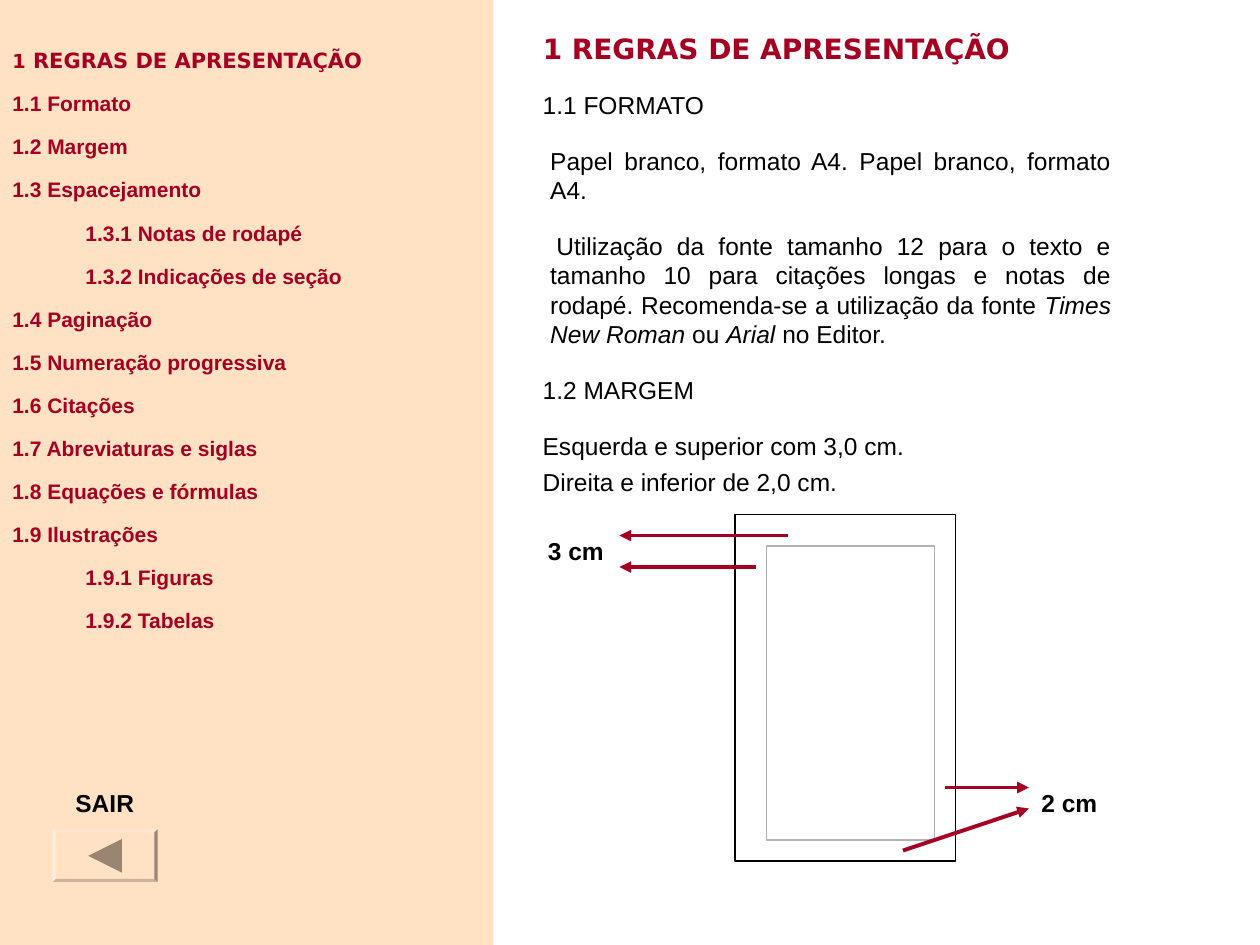
from dataclasses import dataclass

from lxml.etree import SubElement
from pptx import Presentation
from pptx.dml.color import RGBColor
from pptx.enum.shapes import MSO_CONNECTOR, MSO_SHAPE
from pptx.enum.text import MSO_ANCHOR, PP_ALIGN
from pptx.oxml.ns import qn
from pptx.util import Inches, Pt


@dataclass(frozen=True)
class Theme:
    crimson: str = "A50021"
    peach: str = "FFE1C3"
    shade: str = "988673"
    black: str = "000000"
    white: str = "FFFFFF"
    gray: str = "B2B2B2"
    heading_font: str = "DejaVu Sans"
    text_font: str = "Arial"
    title_size: float = 16
    body_size: float = 14
    menu_size: float = 12
    number_size: float = 11
    body_line: float = 16.7
    menu_line: float = 21.6
    section_gap: float = 15.3
    line_gap: float = 3.8
    menu_gap: float = 3


THEME = Theme()
TITLE = "1 REGRAS DE APRESENTAÇÃO"
MENU = [
    (0, "1.1 Formato"),
    (0, "1.2 Margem"),
    (0, "1.3 Espacejamento"),
    (1, "1.3.1 Notas de rodapé"),
    (1, "1.3.2 Indicações de seção"),
    (0, "1.4 Paginação"),
    (0, "1.5 Numeração progressiva"),
    (0, "1.6 Citações"),
    (0, "1.7 Abreviaturas e siglas"),
    (0, "1.8 Equações e fórmulas"),
    (0, "1.9 Ilustrações"),
    (1, "1.9.1 Figuras"),
    (1, "1.9.2 Tabelas"),
]
# Each paragraph: space before, left margin, first-line indent, runs (odd ones italic)
BODY = [
    (0, 0, 0, ["1.1 FORMATO"]),
    (THEME.section_gap, 0.06, 0,
     ["Papel branco, formato A4. Papel branco, formato A4."]),
    (THEME.section_gap, 0.06, 0.05,
     ["Utilização da fonte tamanho 12 para o texto e tamanho 10 para citações "
      "longas e notas de rodapé. Recomenda-se a utilização da fonte ",
      "Times New Roman", " ou ", "Arial", " no Editor."]),
    (THEME.section_gap, 0, 0, ["1.2 MARGEM"]),
    (THEME.section_gap, 0, 0, ["Esquerda e superior com 3,0 cm."]),
    (THEME.line_gap, 0, 0, ["Direita e inferior de 2,0 cm."]),
]


def grid(*cells):
    """Convert grid cells, twelve to the inch, to lengths."""
    return [Inches(cell / 12) for cell in cells]


def color(value):
    return RGBColor.from_string(value)


def style_run(run, size, name=THEME.text_font, value=THEME.black, bold=False, italic=False):
    font = run.font
    font.size, font.name = Pt(size), name
    font.bold, font.italic = bold, italic
    font.color.rgb = color(value)


def indent(paragraph, margin, first_line=0):
    properties = paragraph._p.get_or_add_pPr()
    properties.set("marL", str(Inches(margin)))
    properties.set("indent", str(Inches(first_line)))


def space(paragraph, before, line):
    paragraph.space_before, paragraph.line_spacing = Pt(before), Pt(line)


def next_paragraph(text_frame, index):
    return text_frame.add_paragraph() if index else text_frame.paragraphs[0]


def add_box(slide, kind, cells, fill, line=None):
    shape = slide.shapes.add_shape(kind, *grid(*cells))
    shape.shadow.inherit = False
    shape.fill.solid()
    shape.fill.fore_color.rgb = color(fill)
    if line:
        shape.line.color.rgb = color(line)
        shape.line.width = Pt(0.75)
    else:
        shape.line.fill.background()
    return shape


def add_arrow(slide, start, end):
    arrow = slide.shapes.add_connector(MSO_CONNECTOR.STRAIGHT, *grid(*start, *end))
    arrow.line.color.rgb = color(THEME.crimson)
    arrow.line.width = Pt(2.25)
    SubElement(arrow.line._get_or_add_ln(), qn("a:tailEnd"), type="triangle")
    SubElement(arrow._element.spPr, qn("a:effectLst"))


def add_label(slide, text, left, top, width):
    text_frame = slide.shapes.add_textbox(*grid(left, top, width, 5)).text_frame
    text_frame.word_wrap = True
    text_frame.vertical_anchor = MSO_ANCHOR.MIDDLE
    text_frame.text = text
    style_run(text_frame.paragraphs[0].runs[0], THEME.body_size, bold=True)


def set_title(slide):
    title = slide.shapes.title
    title.left, title.top, title.width, title.height = grid(50.5, 1.6, 56.5, 6)
    text_frame = title.text_frame
    text_frame.text = TITLE
    text_frame.vertical_anchor = MSO_ANCHOR.MIDDLE
    text_frame.paragraphs[0].alignment = PP_ALIGN.LEFT
    style_run(text_frame.paragraphs[0].runs[0], THEME.title_size,
              THEME.heading_font, THEME.crimson, bold=True)


def add_body(slide):
    text_frame = slide.shapes.add_textbox(*grid(50.5, 8, 56.5, 40)).text_frame
    text_frame.word_wrap = True
    for index, (before, margin, first_line, texts) in enumerate(BODY):
        paragraph = next_paragraph(text_frame, index)
        paragraph.alignment = PP_ALIGN.JUSTIFY
        indent(paragraph, margin, first_line)
        space(paragraph, before, THEME.body_line)
        for position, text in enumerate(texts):
            run = paragraph.add_run()
            run.text = text
            style_run(run, THEME.body_size, italic=position % 2 == 1)


def add_menu(slide):
    panel = add_box(slide, MSO_SHAPE.RECTANGLE, (0, 0, 47, 90), THEME.peach)
    text_frame = panel.text_frame
    text_frame.word_wrap = True
    text_frame.vertical_anchor = MSO_ANCHOR.TOP
    text_frame.margin_top = Inches(0.28)
    number, heading = TITLE.split(" ", 1)
    heading_runs = [(number, THEME.number_size, THEME.heading_font),
                    (" " + heading, THEME.menu_size, THEME.heading_font)]
    entries = [(0, heading_runs)]
    entries += [(level, [(text, THEME.menu_size, THEME.text_font)]) for level, text in MENU]
    for index, (level, runs) in enumerate(entries):
        paragraph = next_paragraph(text_frame, index)
        paragraph.alignment = PP_ALIGN.LEFT
        indent(paragraph, 0.58 * level)
        space(paragraph, THEME.menu_gap if index else 0, THEME.menu_line)
        for text, size, name in runs:
            run = paragraph.add_run()
            run.text = text
            style_run(run, size, name, THEME.crimson, bold=True)


def add_exit_button(slide):
    button = add_box(slide, MSO_SHAPE.BEVEL, (5, 79, 10, 5), THEME.peach)
    button.adjustments[0] = 0.06
    triangle = add_box(slide, MSO_SHAPE.ISOSCELES_TRIANGLE, (8.4, 79.9, 3.2, 3.2), THEME.shade)
    triangle.rotation = 270
    add_label(slide, "SAIR", 6, 74, 10)


def add_margin_diagram(slide):
    add_box(slide, MSO_SHAPE.RECTANGLE, (70, 49, 21, 33), THEME.white, THEME.black)
    add_box(slide, MSO_SHAPE.RECTANGLE, (73, 52, 16, 28), THEME.white, THEME.gray)
    for start, end in [((75, 51), (59, 51)), ((72, 54), (59, 54)),
                       ((90, 75), (98, 75)), ((86, 81), (98, 77))]:
        add_arrow(slide, start, end)
    add_label(slide, "3 cm", 51, 50, 8)
    add_label(slide, "2 cm", 98, 74, 9)


def main():
    presentation = Presentation()
    presentation.slide_width, presentation.slide_height = grid(120, 90)
    slide = presentation.slides.add_slide(presentation.slide_layouts[5])
    set_title(slide)
    add_body(slide)
    add_menu(slide)
    add_exit_button(slide)
    add_margin_diagram(slide)
    presentation.save("out.pptx")


if __name__ == "__main__":
    main()
